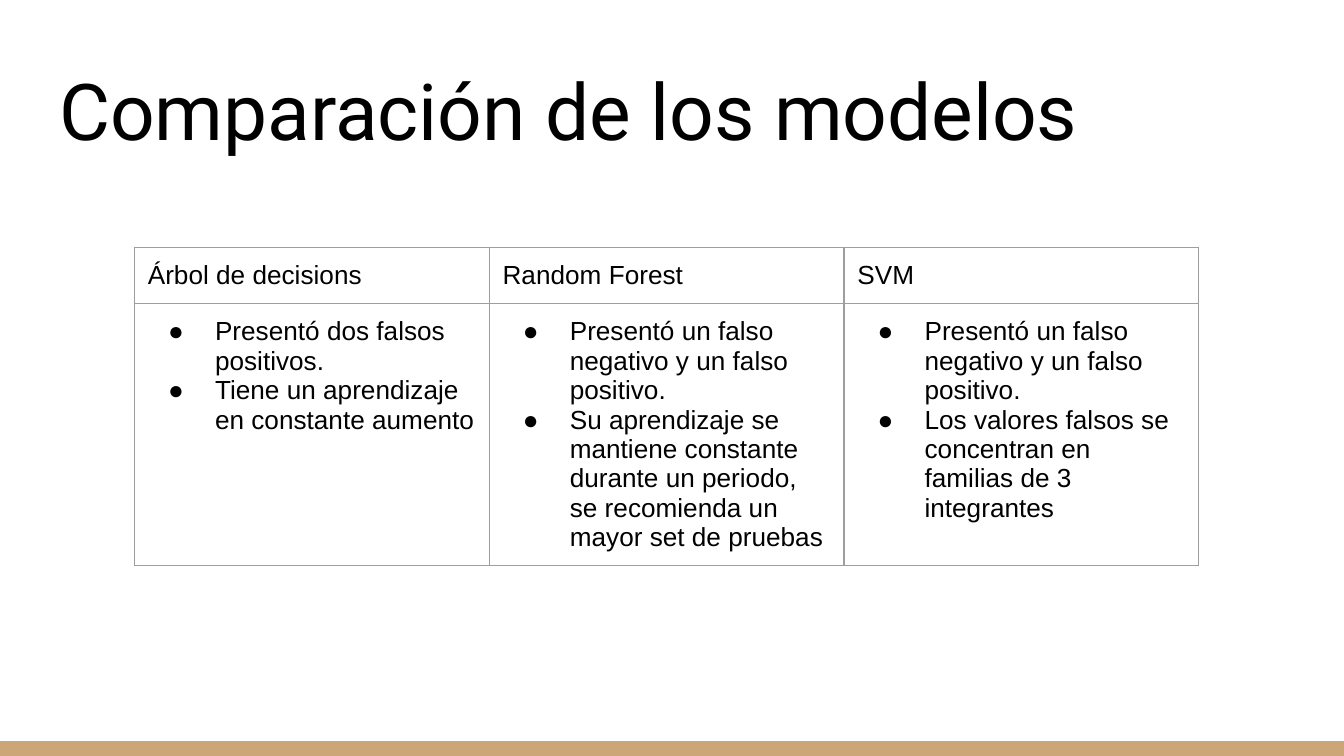
"""Build a slide that compares three classification models in a table."""
from lxml import etree
from pptx import Presentation
from pptx.dml.color import RGBColor
from pptx.enum import shapes, text
from pptx.oxml import ns
from pptx.util import Inches, Pt

TITLE = "Comparación de los modelos"
MODELS = [
    ("Árbol de decisions", [
        "Presentó dos falsos positivos.",
        "Tiene un aprendizaje en constante aumento",
    ]),
    ("Random Forest", [
        "Presentó un falso negativo y un falso positivo.",
        "Su aprendizaje se mantiene constante durante un periodo, "
        "se recomienda un mayor set de pruebas",
    ]),
    ("SVM", [
        "Presentó un falso negativo y un falso positivo.",
        "Los valores falsos se concentran en familias de 3 integrantes",
    ]),
]
COLORS = {"ink": "000000", "border": "9E9E9E", "band": "CCA677", "page": "FFFFFF"}
TITLE_FONT, TABLE_FONT = ("Roboto", 42), ("Arial", 14)
WIDTH, BAND = 10, 0.11
HEIGHT = WIDTH * 9 / 16
COLUMN, ROW, INSET = 2.64, 0.42, 0.1


def add_element(parent, tag, **attributes):
    return etree.SubElement(parent, ns.qn(tag), attributes)


def set_font(paragraph, name, size):
    paragraph.font.name = name
    paragraph.font.size = Pt(size)
    paragraph.font.color.rgb = RGBColor.from_string(COLORS["ink"])


def set_insets(box):
    box.margin_left = box.margin_right = Inches(INSET)
    box.margin_top = box.margin_bottom = Inches(INSET)


def set_bullet(paragraph, name, size):
    properties = paragraph._p.get_or_add_pPr()
    properties.set("marL", str(Inches(0.5)))
    properties.set("indent", str(Inches(-0.35)))
    color = add_element(properties, "a:buClr")
    add_element(color, "a:srgbClr", val=COLORS["ink"])
    add_element(properties, "a:buSzPts", val=str(size * 100))
    add_element(properties, "a:buFont", typeface=name)
    add_element(properties, "a:buChar", char="●")


def fill_cell(cell, lines, bulleted):
    set_insets(cell)
    properties = cell._tc.get_or_add_tcPr()
    for side in ("a:lnL", "a:lnR", "a:lnT", "a:lnB"):
        line = add_element(properties, side, w=str(Pt(0.75)))
        fill = add_element(line, "a:solidFill")
        add_element(fill, "a:srgbClr", val=COLORS["border"])
    cell.fill.background()
    cell.text_frame.text = "\n".join(lines)
    for paragraph in cell.text_frame.paragraphs:
        if bulleted:
            set_bullet(paragraph, *TABLE_FONT)
        set_font(paragraph, *TABLE_FONT)


def add_title(page):
    title = page.shapes.title
    title.left, title.top = Inches(0.34), Inches(0.35)
    title.width, title.height = Inches(9.32), Inches(0.91)
    frame = title.text_frame
    frame.text = TITLE
    frame.word_wrap = True
    frame.auto_size = text.MSO_AUTO_SIZE.NONE
    frame.vertical_anchor = text.MSO_ANCHOR.BOTTOM
    set_insets(frame)
    paragraph = frame.paragraphs[0]
    paragraph.alignment = text.PP_ALIGN.LEFT
    set_font(paragraph, *TITLE_FONT)


def add_band(page):
    band = page.shapes.add_shape(
        shapes.MSO_SHAPE.RECTANGLE,
        Inches(0), Inches(HEIGHT - BAND), Inches(WIDTH), Inches(BAND))
    band.shadow.inherit = False
    band.fill.solid()
    band.fill.fore_color.rgb = RGBColor.from_string(COLORS["band"])
    band.line.fill.background()


def add_comparison(page):
    table = page.shapes.add_table(
        2, len(MODELS), Inches(1), Inches(1.84),
        Inches(COLUMN * len(MODELS)), Inches(ROW * 2)).table
    table.first_row = table.horz_banding = False
    for row in table.rows:
        row.height = Inches(ROW)
    for index, (model, findings) in enumerate(MODELS):
        table.columns[index].width = Inches(COLUMN)
        fill_cell(table.cell(0, index), [model], False)
        fill_cell(table.cell(1, index), findings, True)


def main():
    deck = Presentation()
    deck.slide_width, deck.slide_height = Inches(WIDTH), Inches(HEIGHT)
    page = deck.slides.add_slide(deck.slide_layouts.get_by_name("Title Only"))
    page.background.fill.solid()
    page.background.fill.fore_color.rgb = RGBColor.from_string(COLORS["page"])
    add_band(page)
    add_title(page)
    add_comparison(page)
    deck.save("out.pptx")


if __name__ == "__main__":
    main()
